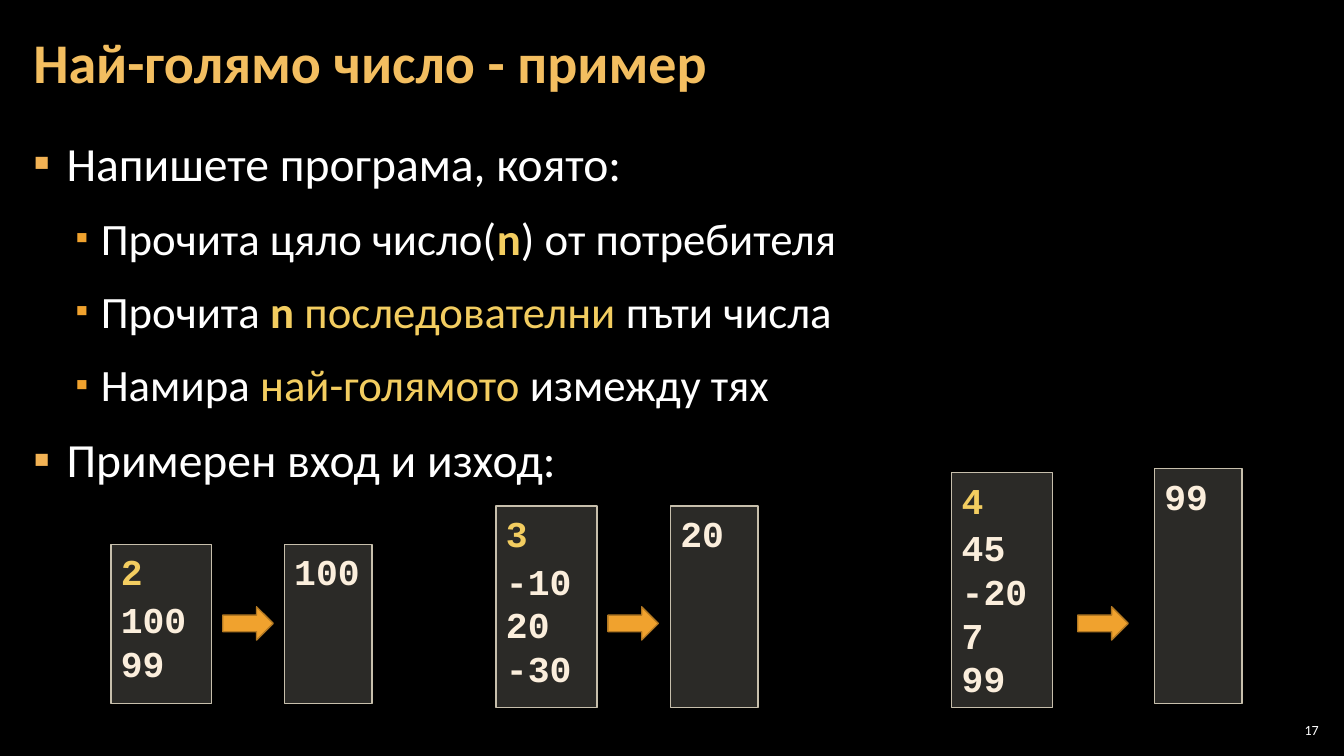
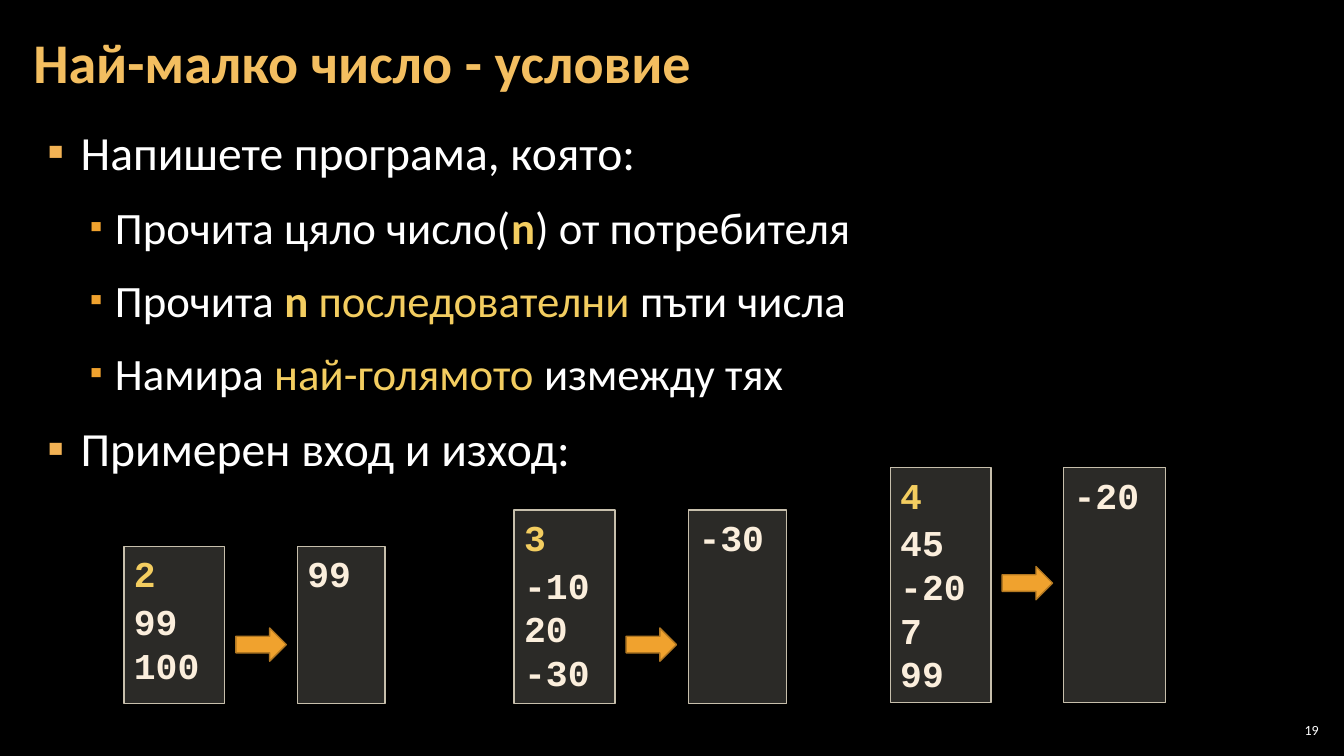
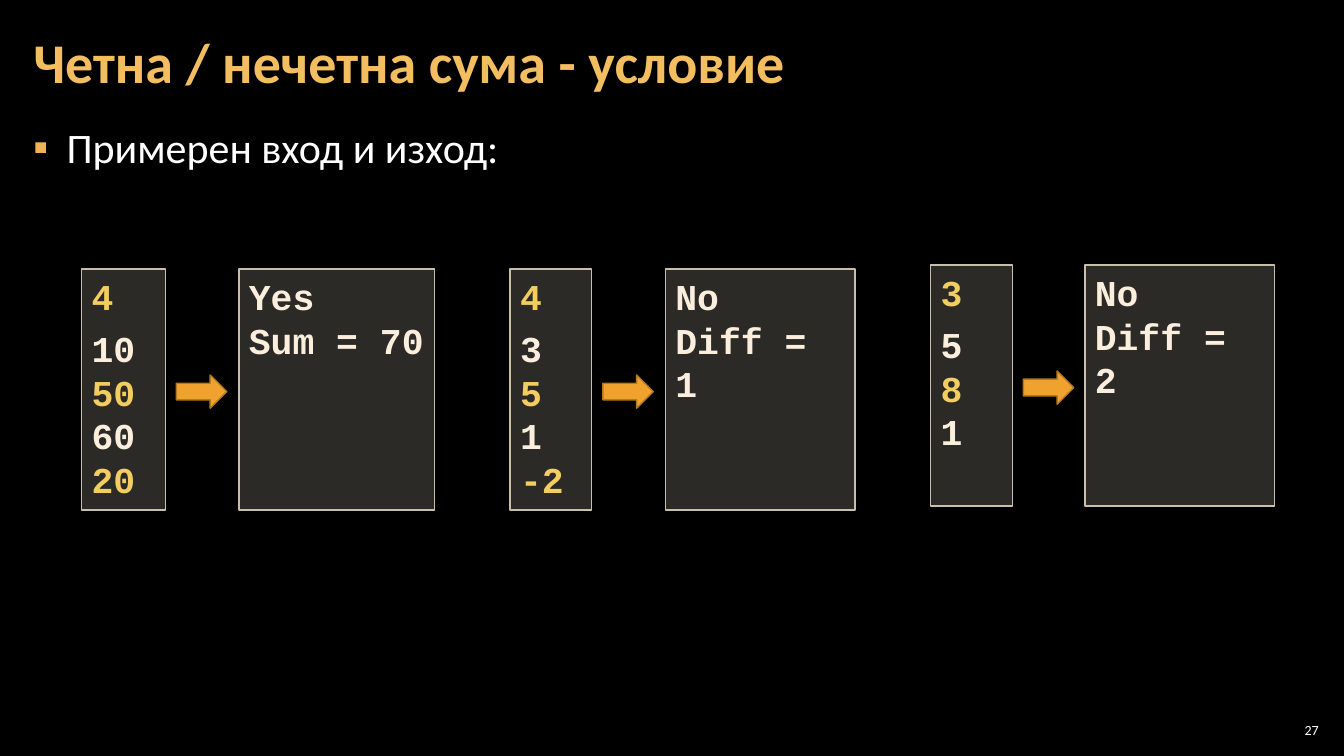
from lxml import etree
from pptx import Presentation
from pptx.dml.color import RGBColor
from pptx.enum.shapes import MSO_SHAPE
from pptx.enum.text import MSO_ANCHOR, PP_ALIGN
from pptx.oxml.ns import qn
from pptx.util import Emu, Pt

RECT, ARROW = MSO_SHAPE.RECTANGLE, MSO_SHAPE.RIGHT_ARROW
TOP, MIDDLE = MSO_ANCHOR.TOP, MSO_ANCHOR.MIDDLE
LEFT, RIGHT = PP_ALIGN.LEFT, PP_ALIGN.RIGHT
PX = 9144  # EMU per px, 100 px to the inch

COLORS = {
    "background": "000000", "title": "F3BE60", "text": "FFFFFF",
    "key": "F3CD60", "code": "FBEEDC", "box": "D9D5C7",
    "box_line": "C7BFAC", "arrow": "F0A22E", "arrow_line": "B27822",
}
BODY_FONT, CODE_FONT = "Calibri", "Courier New"

# Bullet levels: indent and hanging in px, bullet colour and size in percent
LEVELS = [
    {"indent": 33, "hanging": 33, "color": "F2B254", "percent": 100},
    {"indent": 67, "hanging": 25, "color": "F0A22E", "percent": 80},
]
# Run styles: colour name, bold
STYLES = {"plain": ("text", False), "key": ("key", False), "strong": ("key", True)}

# Content: bullets are (level, size, runs)
EXAMPLES_HEADING = "Примерен вход и изход:"
TASK = [
    (0, 34, [("Напишете програма, която:", "plain")]),
    (1, 32, [("Прочита цяло число(", "plain"), ("n", "strong"),
             (") от потребителя", "plain")]),
    (1, 32, [("Прочита ", "plain"), ("n ", "strong"),
             ("последователни", "key"), (" пъти числа", "plain")]),
    (1, 32, [("Намира ", "plain"), ("най-голямото ", "key"),
             ("измежду тях", "plain")]),
    (0, 34, [(EXAMPLES_HEADING, "plain")]),
]

# Examples: input lines, output lines, input box and output box
# (left, top, width, height), top of the arrow
SLIDES = [
    {
        "title": "Най-голямо число - пример", "number": "17",
        "bullets": TASK, "body_at": (21, 126), "line_spacing": 1.05,
        "alternate": False, "gap": 3,
        "examples": [
            (["2", "100", "99"], ["100"],
             (110, 540, 100, 158), (282, 540, 87, 158), 602),
            (["3", "-10", "20", "-30"], ["20"],
             (492, 502, 100, 200), (665, 502, 87, 200), 602),
            (["4", "45", "-20", "7", "99"], ["99"],
             (944, 469, 100, 233), (1145, 465, 87, 233), 602),
        ],
    },
    {
        "title": "Най-малко число - условие", "number": "19",
        "bullets": TASK, "body_at": (35, 115), "line_spacing": 1.05,
        "alternate": False, "gap": 3,
        "examples": [
            (["2", "99", "100"], ["99"],
             (123, 542, 100, 156), (295, 542, 87, 156), 623),
            (["3", "-10", "20", "-30"], ["-30"],
             (510, 506, 100, 192), (683, 506, 97, 192), 623),
            (["4", "45", "-20", "7", "99"], ["-20"],
             (883, 464, 100, 233), (1055, 464, 101, 233), 562),
        ],
    },
    {
        "title": "Четна / нечетна сума - условие", "number": "27",
        "bullets": [(0, 30, [(EXAMPLES_HEADING, "plain")])],
        "body_at": (21, 117), "line_spacing": 1.0,
        "alternate": True, "gap": 6,
        "examples": [
            (["4", "10", "50", "60", "20"], ["Yes", "Sum = 70"],
             (81, 267, 83, 239), (237, 267, 194, 239), 372),
            (["4", "3", "5", "1", "-2"], ["No", "Diff = 1"],
             (506, 267, 81, 239), (660, 267, 188, 239), 372),
            (["3", "5", "8", "1"], ["No", "Diff = 2"],
             (923, 263, 81, 239), (1076, 263, 188, 239), 368),
        ],
    },
]


def px(*lengths):
    return [Emu(length * PX) for length in lengths]


def rgb(name):
    return RGBColor.from_string(COLORS[name])


def set_frame(frame, anchor, inset_x, inset_y):
    frame.word_wrap = True
    frame.vertical_anchor = anchor
    frame.margin_left = frame.margin_right = Emu(inset_x * PX)
    frame.margin_top = frame.margin_bottom = Emu(inset_y * PX)
    return frame


def paragraph_at(frame, index):
    return frame.add_paragraph() if index else frame.paragraphs[0]


def add_run(paragraph, text, size, color, bold=False, font=BODY_FONT):
    run = paragraph.add_run()
    run.text = text
    run.font.name, run.font.size, run.font.bold = font, Pt(size), bold
    run.font.color.rgb = rgb(color)


def add_bullet(paragraph, level):
    look = LEVELS[level]
    paragraph.level = level
    props = paragraph._p.get_or_add_pPr()
    props.set("marL", str(look["indent"] * PX))
    props.set("indent", str(-look["hanging"] * PX))
    color = etree.SubElement(props, qn("a:buClr"))
    etree.SubElement(color, qn("a:srgbClr"), val=look["color"])
    etree.SubElement(props, qn("a:buSzPct"), val=str(look["percent"] * 1000))
    etree.SubElement(props, qn("a:buFont"), typeface=BODY_FONT)
    etree.SubElement(props, qn("a:buChar"), char="▪")


def add_title(slide, text):
    title = slide.shapes.title
    title.left, title.top, title.width, title.height = px(21, 4, 1047, 121)
    paragraph = set_frame(title.text_frame, MIDDLE, 12, 4).paragraphs[0]
    paragraph.alignment, paragraph.line_spacing = LEFT, 0.9
    add_run(paragraph, text, 40, "title", True)


def add_number(slide, number):
    box = slide.shapes.add_textbox(*px(1265, 714, 47, 21))
    paragraph = set_frame(box.text_frame, MIDDLE, 4, 4).paragraphs[0]
    paragraph.alignment = RIGHT
    add_run(paragraph, number, 10, "text")


def add_body(slide, bullets, place, line_spacing):
    box = slide.shapes.add_textbox(*px(*place, 1291, 609))
    frame = set_frame(box.text_frame, TOP, 12, 4)
    for index, (level, size, runs) in enumerate(bullets):
        paragraph = paragraph_at(frame, index)
        paragraph.line_spacing = line_spacing
        paragraph.space_before = paragraph.space_after = Pt(6)
        add_bullet(paragraph, level)
        for text, style in runs:
            add_run(paragraph, text, size, *STYLES[style])


def add_filled(slide, preset, place, fill, line):
    shape = slide.shapes.add_shape(preset, *px(*place))
    shape.shadow.inherit = False
    shape.fill.solid()
    shape.fill.fore_color.rgb = rgb(fill)
    shape.line.color.rgb = rgb(line)
    shape.line.width = Pt(1)
    return shape


def add_code_box(slide, place, lines, colors, gap=0):
    box = add_filled(slide, RECT, place, "box", "box_line")
    fill_color = box._element.spPr.find(qn("a:solidFill")).find(qn("a:srgbClr"))
    etree.SubElement(fill_color, qn("a:alpha"), val="20000")
    frame = set_frame(box.text_frame, TOP, 10, 5)
    for index, (text, color) in enumerate(zip(lines, colors)):
        paragraph = paragraph_at(frame, index)
        paragraph.alignment = LEFT
        if index == 1:
            paragraph.space_before = Pt(gap)
        add_run(paragraph, text, 26, color, True, CODE_FONT)


def add_example(slide, example, alternate, gap):
    inputs, outputs, input_at, output_at, arrow_top = example
    # The count is always highlighted, then every second number if asked for
    colors = ["key" if i == 0 or alternate and i % 2 == 0 else "code"
              for i in range(len(inputs))]
    add_code_box(slide, input_at, inputs, colors, gap)
    add_code_box(slide, output_at, outputs, ["code"] * len(outputs))
    # The arrow is centred between the two boxes
    arrow_left = (input_at[0] + input_at[2] + output_at[0] - 50) // 2
    add_filled(slide, ARROW, (arrow_left, arrow_top, 50, 33), "arrow", "arrow_line")


def main():
    prs = Presentation()
    prs.slide_width, prs.slide_height = px(1333, 750)
    background = prs.slide_master.background.fill
    background.solid()
    background.fore_color.rgb = rgb("background")
    for content in SLIDES:
        slide = prs.slides.add_slide(prs.slide_layouts[5])
        add_title(slide, content["title"])
        add_number(slide, content["number"])
        add_body(slide, content["bullets"], content["body_at"], content["line_spacing"])
        for example in content["examples"]:
            add_example(slide, example, content["alternate"], content["gap"])
    prs.save("out.pptx")


if __name__ == "__main__":
    main()
